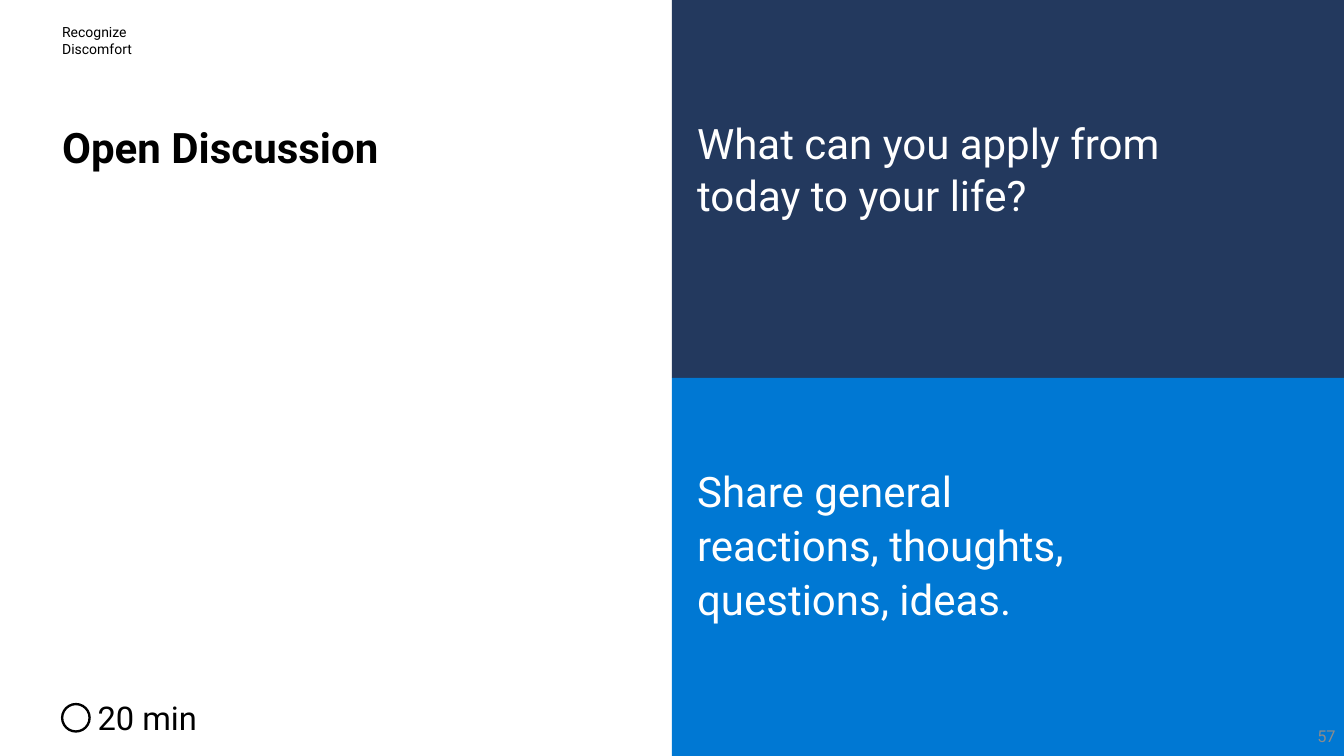
from pptx import Presentation
from pptx.dml.color import RGBColor
from pptx.enum.shapes import MSO_SHAPE
from pptx.enum.text import MSO_ANCHOR, PP_ALIGN
from pptx.util import Cm, Pt

RECT, OVAL = MSO_SHAPE.RECTANGLE, MSO_SHAPE.OVAL
TOP, MID = MSO_ANCHOR.TOP, MSO_ANCHOR.MIDDLE
LEFT, RIGHT, EVEN = PP_ALIGN.LEFT, PP_ALIGN.RIGHT, PP_ALIGN.JUSTIFY
BLACK = RGBColor(0, 0, 0)
WHITE = RGBColor(255, 255, 255)
NAVY = RGBColor(0x23, 0x39, 0x5E)
BLUE = RGBColor(0, 0x78, 0xD3)
GREY = RGBColor(0x8C, 0x8C, 0x8C)
FONT = "Roboto"
WIDE, HIGH = 40.64, 22.86
EDGE = 1.88
HALF = WIDE / 2
INNER = HALF + 0.76

PANELS = [NAVY, BLUE]
RING = (EDGE, 21.29, 0.83, 0.83)
TEXTS = [
    (["Open Discussion"], (EDGE, 3.63, 10.77, 1.57), 36, BLACK, True, LEFT, None),
    (["Recognize Discomfort"], (EDGE, 0.68, 3.9, 1.1), 12, BLACK, False, LEFT, None),
    (["What can you apply from today to your life?"],
     (INNER, 3.45, 16.87, 3.12), 36, WHITE, False, LEFT, 45),
    (["20 min"], (2.95, 21.08, 4.47, 1.3), 28, BLACK, False, LEFT, None),
    (["Share general", "reactions, thoughts,", "questions, ideas."],
     (INNER, 13.99, 18.08, 4.78), 36, WHITE, False, EVEN, 45),
    (["57"], (31.5, 21.64, 8.89, 1.22), 14, GREY, False, RIGHT, None),
]


def add_form(slide, kind, area):
    form = slide.shapes.add_shape(kind, *map(Cm, area))
    form.shadow.inherit = False
    return form


def add_text(slide, lines, area, size, color, bold, align, pitch):
    frame = slide.shapes.add_textbox(*map(Cm, area)).text_frame
    frame.word_wrap = True
    frame.vertical_anchor = MID if align == RIGHT else TOP
    frame.margin_left = frame.margin_right = 0
    frame.margin_top = frame.margin_bottom = Cm(0.03)
    frame.text = "\n".join(lines)
    for i, para in enumerate(frame.paragraphs):
        para.alignment = align
        if pitch:
            para.line_spacing = Pt(pitch)
        if i:
            para.space_before = Pt(1)
        font = para.font
        font.name, font.size, font.bold = FONT, Pt(size), bold
        font.color.rgb = color


def main():
    deck = Presentation()
    deck.slide_width, deck.slide_height = Cm(WIDE), Cm(HIGH)
    slide = deck.slides.add_slide(deck.slide_layouts[6])
    tall = HIGH / len(PANELS)
    for i, color in enumerate(PANELS):
        panel = add_form(slide, RECT, (HALF, i * tall, HALF, tall))
        panel.fill.solid()
        panel.fill.fore_color.rgb = color
        panel.line.fill.background()
    ring = add_form(slide, OVAL, RING)
    ring.fill.background()
    ring.line.color.rgb = BLACK
    ring.line.width = Pt(2)
    for item in TEXTS:
        add_text(slide, *item)
    deck.save("out.pptx")


if __name__ == "__main__":
    main()
